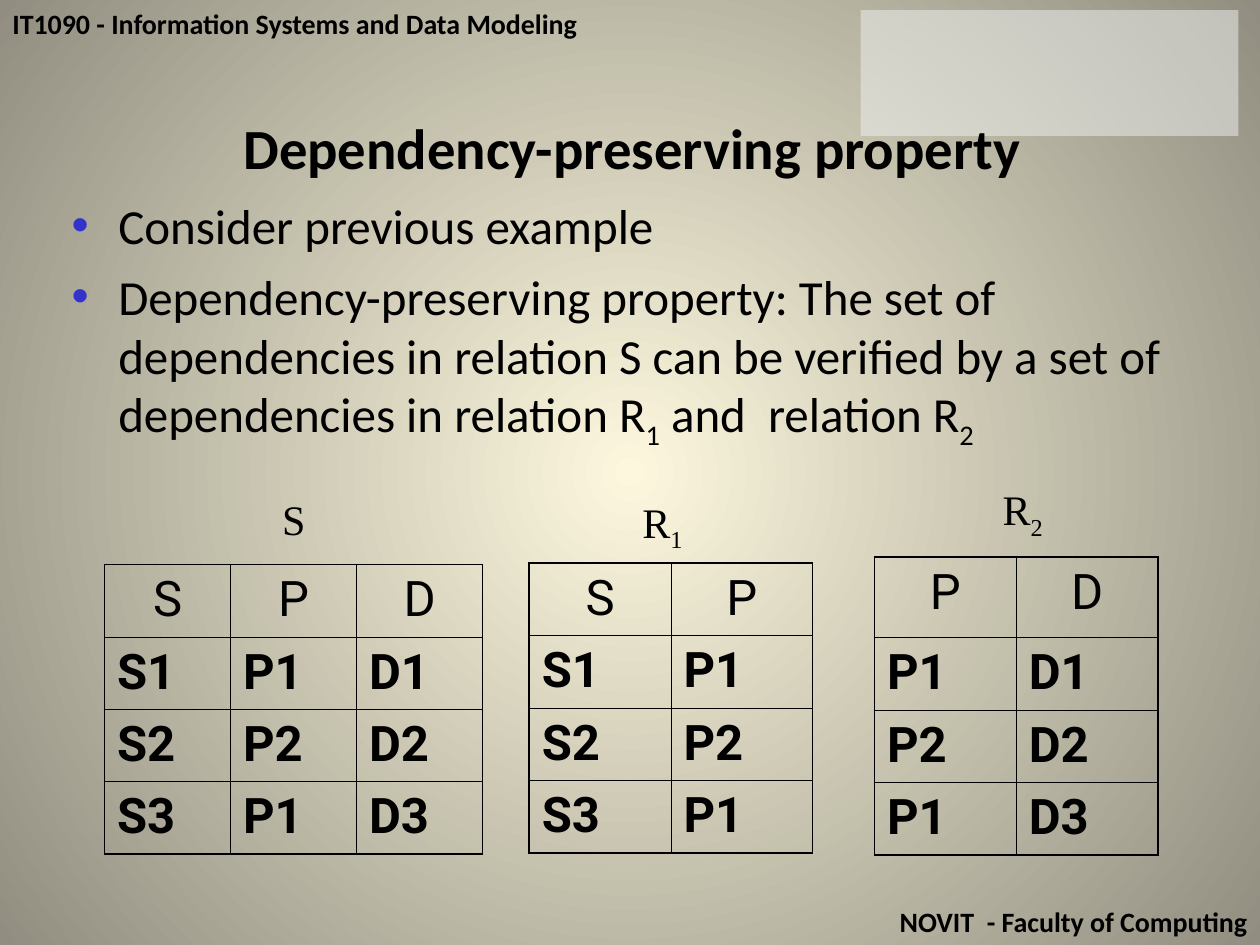
from lxml import etree
from pptx import Presentation
from pptx import util as u
from pptx.dml.color import RGBColor
from pptx.enum import shapes, text
from pptx.oxml import ns

BLACK = "000000"
THIN, THICK = 0.45, 1.08
ROW = 0.575


def colour(value):
    return RGBColor.from_string(value)


def child(parent, tag, **attributes):
    return etree.SubElement(parent, ns.qn(tag), attributes)


class SlideBuilder:
    body_font = "Calibri"
    label_font = "Times New Roman"
    table_font = "Roboto"
    bullet_colour = "3333CC"

    def __init__(self, slide):
        self.slide = slide

    def background(self, centre, edge):
        fill = self.slide.background.fill
        fill.gradient()
        for stop, value, position in zip(fill.gradient_stops, (centre, edge), (0, 1)):
            stop.color.rgb = colour(value)
            stop.position = position
        gradient = next(self.slide.element.iter(ns.qn("a:gradFill")))
        gradient.remove(gradient.find(ns.qn("a:lin")))
        circle = child(gradient, "a:path", path="circle")
        child(circle, "a:fillToRect", l="50000", t="50000", r="50000", b="50000")

    def panel(self, left, top, width, height, value, opacity):
        panel = self.slide.shapes.add_shape(
            shapes.MSO_SHAPE.RECTANGLE,
            u.Inches(left), u.Inches(top), u.Inches(width), u.Inches(height))
        panel.shadow.inherit = False
        panel.fill.solid()
        panel.fill.fore_color.rgb = colour(value)
        panel.line.fill.background()
        solid = panel.element.spPr.find(ns.qn("a:solidFill"))
        child(solid[0], "a:alpha", val=str(opacity * 1000))

    def style(self, span, size, font, bold=False):
        span.font.size = u.Pt(size)
        span.font.name = font
        span.font.bold = bold
        span.font.color.rgb = colour(BLACK)

    def add_spans(self, para, pieces, size, font, bold=False):
        for index, piece in enumerate(pieces):
            span = para.add_run()
            span.text = piece
            self.style(span, size, font, bold)
            if index % 2:
                span.font._element.set("baseline", "-25000")

    def box(self, left, top, width, height, wrap=True):
        box = self.slide.shapes.add_textbox(
            u.Inches(left), u.Inches(top), u.Inches(width), u.Inches(height))
        box.text_frame.word_wrap = wrap
        return box.text_frame

    def line(self, left, top, width, height, content, size, align):
        frame = self.box(left, top, width, height)
        frame.vertical_anchor = text.MSO_ANCHOR.MIDDLE
        para = frame.paragraphs[0]
        para.alignment = align
        self.add_spans(para, [content], size, self.body_font, True)

    def label(self, left, top, width, height, pieces):
        frame = self.box(left, top, width, height, wrap=False)
        self.add_spans(frame.paragraphs[0], pieces, 24, self.label_font)

    def bullets(self, left, top, width, height, items):
        frame = self.box(left, top, width, height)
        for index, pieces in enumerate(items):
            para = frame.add_paragraph() if index else frame.paragraphs[0]
            para.space_before = u.Pt(7)
            self.add_spans(para, pieces, 28, self.body_font)
            properties = para._p.get_or_add_pPr()
            indent = u.Inches(0.37)
            properties.set("marL", str(indent))
            properties.set("indent", str(-indent))
            child(child(properties, "a:buClr"), "a:srgbClr", val=self.bullet_colour)
            child(properties, "a:buFont", typeface="Arial")
            child(properties, "a:buChar", char="•")

    def borders(self, cell, outer):
        properties = cell._tc.get_or_add_tcPr()
        for side in "LRTB":
            width = u.Pt(THICK if side in outer else THIN)
            edge = child(properties, f"a:ln{side}", w=str(width))
            child(child(edge, "a:solidFill"), "a:srgbClr", val=BLACK)
        cell.fill.background()

    def table(self, left, top, width, rows, header_height=ROW):
        count, columns = len(rows), len(rows[0])
        heights = [header_height] + [ROW] * (count - 1)
        table = self.slide.shapes.add_table(
            count, columns, u.Inches(left), u.Inches(top),
            u.Inches(width), u.Inches(sum(heights))).table
        table.first_row = table.horz_banding = False
        for column in table.columns:
            column.width = u.Inches(width / columns)
        for r, values in enumerate(rows):
            table.rows[r].height = u.Inches(heights[r])
            for c, value in enumerate(values):
                cell = table.cell(r, c)
                para = cell.text_frame.paragraphs[0]
                para.text = value
                para.line_spacing = 1.01
                para.space_before = u.Pt(7)
                if r == 0:
                    para.alignment = text.PP_ALIGN.CENTER
                self.style(para.runs[0], 28, self.table_font, r > 0)
                edges = {"L": c == 0, "R": c == columns - 1,
                         "T": r == 0, "B": r == count - 1}
                self.borders(cell, [side for side in edges if edges[side]])


def main():
    deck = Presentation()
    deck.slide_width, deck.slide_height = u.Inches(10), u.Inches(7.5)
    builder = SlideBuilder(deck.slides.add_slide(deck.slide_layouts[6]))
    align = text.PP_ALIGN

    builder.background("FCF7DD", "918E81")
    builder.line(0, 0, 10, 0.37, "IT1090 - Information Systems and Data Modeling", 16, align.LEFT)
    builder.line(0, 7.13, 10, 0.37, "NOVIT  - Faculty of Computing", 16, align.RIGHT)
    builder.panel(6.83, 0.08, 3, 1, "F2F2F2", 50)
    builder.line(0.64, 0.83, 8.75, 0.67, "Dependency-preserving property", 32.4, align.CENTER)
    builder.bullets(0.47, 1.5, 8.92, 5.76, [
        ["Consider previous example"],
        ["Dependency-preserving property: The set of dependencies in relation S "
         "can be verified by a set of dependencies in relation R",
         "1", " and  relation R", "2"],
    ])

    builder.label(2.14, 3.87, 0.38, 0.5, ["S"])
    builder.label(5, 3.89, 0.53, 0.56, ["R", "1"])
    builder.label(7.86, 3.79, 0.53, 0.56, ["R", "2"])

    relation = [("S", "P", "D"), ("S1", "P1", "D1"), ("S2", "P2", "D2"), ("S3", "P1", "D3")]
    builder.table(0.83, 4.48, 3, relation)
    builder.table(4.2, 4.47, 2.25, [row[:2] for row in relation])
    builder.table(6.94, 4.42, 2.25, [row[1:] for row in relation], header_height=0.64)

    deck.save("out.pptx")


if __name__ == "__main__":
    main()
